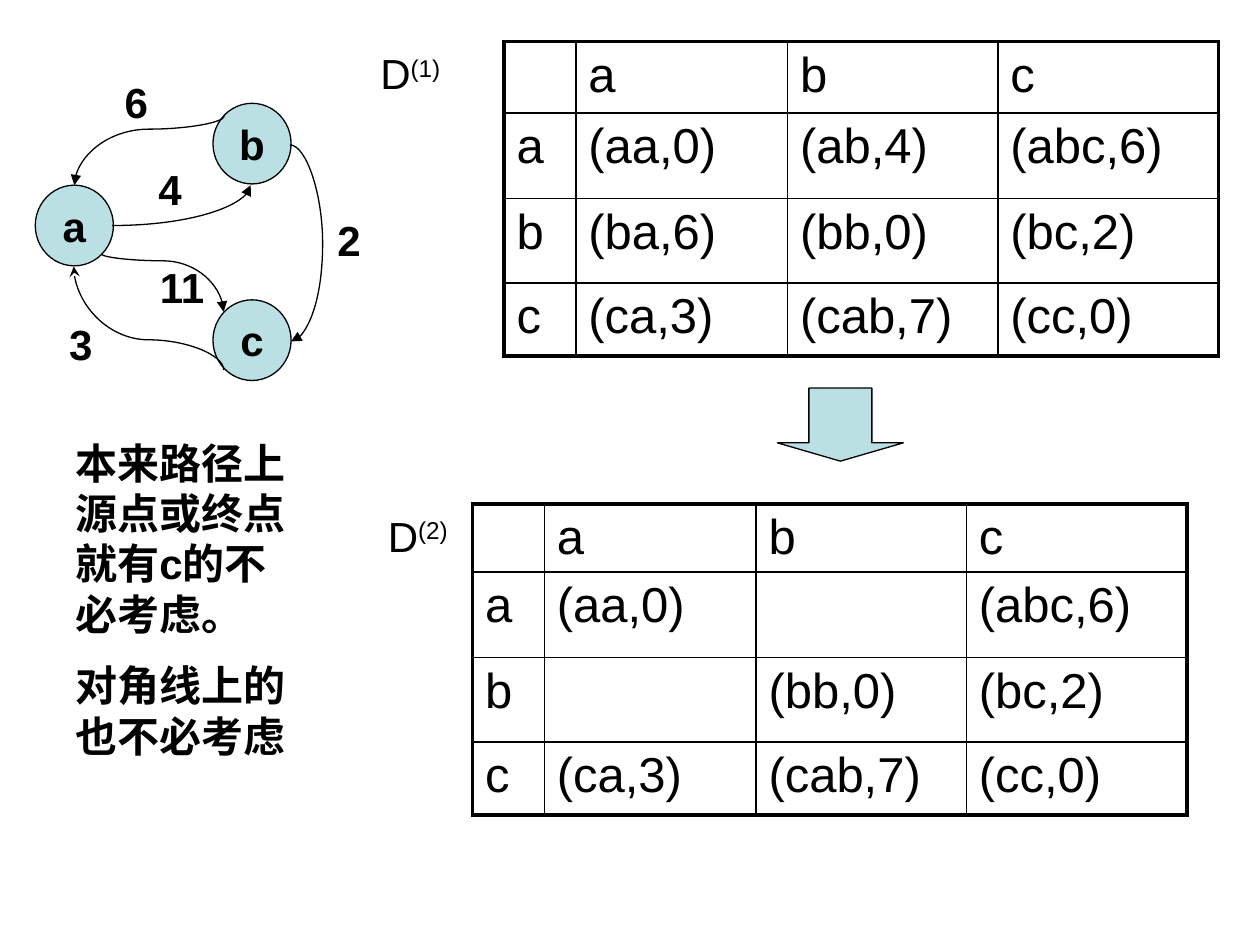
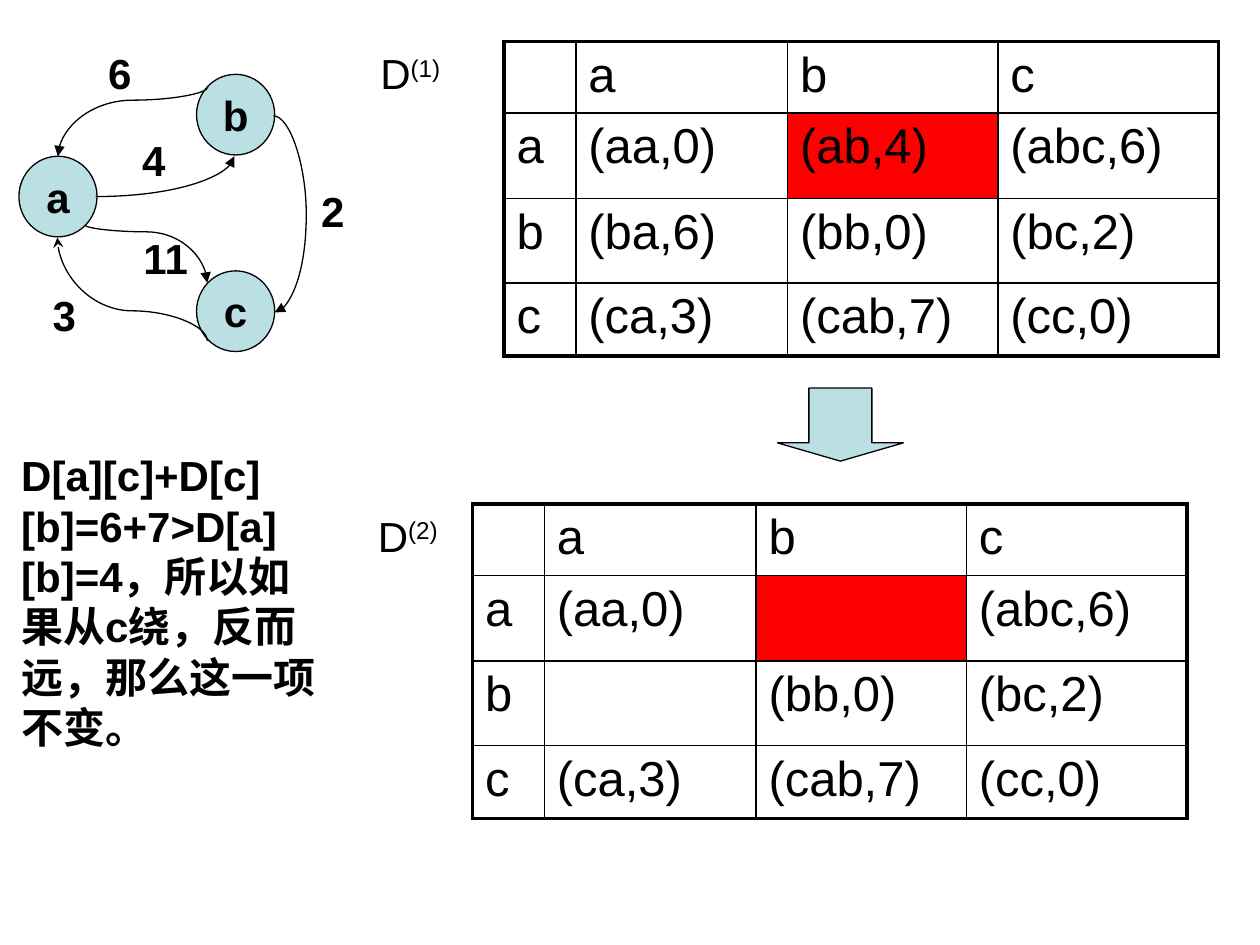
import dataclasses

import lxml.etree
import pptx
import pptx.dml.color
import pptx.enum.shapes
import pptx.enum.text
import pptx.oxml.ns
import pptx.util

Inches = pptx.util.Inches
Pt = pptx.util.Pt
qn = pptx.oxml.ns.qn
SHAPE = pptx.enum.shapes.MSO_SHAPE


@dataclasses.dataclass(frozen=True)
class Theme:
    """Colours, font, type sizes and line widths shared by the slides."""
    ink: str = "000000"
    accent: str = "BBE0E3"
    changed: str = "FF0000"
    font: str = "Arial"
    body: float = 24
    cell: float = 28
    thin: float = 0.75
    grid: float = 1
    frame: float = 2.25


THEME = Theme()
NODES = "abc"
COLUMNS = [0.57, 1.68, 1.67, 1.75]
BODY_ROWS = [0.68, 0.67, 0.58]
BEFORE = [["(aa,0)", "(ab,4)", "(abc,6)"],
          ["(ba,6)", "(bb,0)", "(bc,2)"],
          ["(ca,3)", "(cab,7)", "(cc,0)"]]
AFTER = [["(aa,0)", "", "(abc,6)"],
         ["", "(bb,0)", "(bc,2)"],
         ["(ca,3)", "(cab,7)", "(cc,0)"]]

NODE_SIZE = (0.62, 0.64)
NODE_PLACES = {"a": (0.28, 1.47), "b": (1.69, 0.82), "c": (1.69, 2.38)}
# Each edge: unrotated box, rotation, flips, preset, bend, arrowhead.
EDGES = [
    ((0.89, 1.47, 1.1, 0.32), 0, "V", "curvedConnector2", None, ("tailEnd", "triangle")),
    ((0.91, 0.6, 0.55, 1.19), 270, "HV", "curvedConnector3", 0.19, ("tailEnd", "triangle")),
    ((1.06, 1.76, 0.46, 0.97), 270, "H", "curvedConnector3", 0.12, ("tailEnd", "triangle")),
    ((0.77, 1.93, 0.82, 1.19), 270, "H", "curvedConnector3", 0.71, ("headEnd", "stealth")),
    ((2.3, 1.15, 0.01, 1.56), 0, "", "curvedConnector3", 26.5, ("tailEnd", "triangle")),
]
# Each weight: text, left, top, width.
WEIGHTS = [("11", 1.17, 2.03, 0.61), ("6", 0.89, 0.56, 0.53), ("4", 1.16, 1.25, 0.53),
           ("2", 2.58, 1.65, 0.53), ("3", 0.45, 2.48, 0.53)]


def rgb(value):
    """Return a colour object for a hex value."""
    return pptx.dml.color.RGBColor.from_string(value)


def set_format(target, values):
    """Set every attribute named in a dict of format values."""
    for name, value in values.items():
        setattr(target, name, value)


def add_xml(parent, tag, **attributes):
    """Append a drawing element with its attributes."""
    return lxml.etree.SubElement(parent, qn("a:" + tag), attributes)


def write_run(paragraph, text, size, bold=False, raised=False):
    """Add a run of text, optionally as a superscript."""
    run = paragraph.add_run()
    run.text = text
    set_format(run.font, {"name": THEME.font, "size": Pt(size), "bold": bold})
    run.font.color.rgb = rgb(THEME.ink)
    if raised:
        run._r.get_or_add_rPr().set("baseline", "30000")


def space_before(paragraph, percent):
    """Set the space above a paragraph as a share of its line."""
    spacing = add_xml(paragraph._p.get_or_add_pPr(), "spcBef")
    add_xml(spacing, "spcPct", val=str(percent * 1000))


def style_shape(shape):
    """Give a shape the pale fill and the thin dark outline."""
    shape.shadow.inherit = False
    shape.fill.solid()
    shape.fill.fore_color.rgb = rgb(THEME.accent)
    shape.line.color.rgb = rgb(THEME.ink)
    shape.line.width = Pt(THEME.thin)


def add_text(shapes, box, paragraphs, bold=True):
    """Add a text box; each paragraph is a list of (text, raised) runs."""
    frame = shapes.add_textbox(*map(Inches, box)).text_frame
    set_format(frame, {"word_wrap": True,
                       "auto_size": pptx.enum.text.MSO_AUTO_SIZE.SHAPE_TO_FIT_TEXT})
    for index, runs in enumerate(paragraphs):
        paragraph = frame.add_paragraph() if index else frame.paragraphs[0]
        space_before(paragraph, 50)
        for text, raised in runs:
            write_run(paragraph, text, THEME.body, bold, raised)


def add_matrix_name(slide, step, left, top):
    """Add the name of a matrix with its step as a superscript."""
    add_text(slide.shapes, (left, top, 1, 0.5),
             [[("D", False), (f"({step})", True)]], bold=False)


def draw_borders(cell, row, column, last):
    """Draw heavy borders on the outside of the grid and light ones inside."""
    outer = {"lnL": column == 0, "lnR": column == last,
             "lnT": row == 0, "lnB": row == last}
    for side, heavy in outer.items():
        width = Pt(THEME.frame if heavy else THEME.grid)
        border = add_xml(cell._tc.get_or_add_tcPr(), side, w=str(int(width)))
        add_xml(add_xml(border, "solidFill"), "srgbClr", val=THEME.ink)


def add_matrix(slide, left, top, header_height, paths, changed=None):
    """Add a matrix of paths with node names along its top and left."""
    grid = [["", *NODES]] + [[node, *line] for node, line in zip(NODES, paths)]
    heights = [header_height, *BODY_ROWS]
    count = len(grid)
    table = slide.shapes.add_table(count, count, Inches(left), Inches(top),
                                   Inches(sum(COLUMNS)), Inches(sum(heights))).table
    set_format(table, {"first_row": False, "horz_banding": False})
    for column, width in zip(table.columns, COLUMNS):
        column.width = Inches(width)
    for row, height in zip(table.rows, heights):
        row.height = Inches(height)
    for row, line in enumerate(grid):
        for column, text in enumerate(line):
            cell = table.cell(row, column)
            draw_borders(cell, row, column, count - 1)
            if (row, column) == changed:
                cell.fill.solid()
                cell.fill.fore_color.rgb = rgb(THEME.changed)
            else:
                cell.fill.background()
            if text:
                paragraph = cell.text_frame.paragraphs[0]
                space_before(paragraph, 20)
                write_run(paragraph, text, THEME.cell)


def add_step_arrow(slide):
    """Add the block arrow between the two matrices."""
    arrow = slide.shapes.add_shape(SHAPE.DOWN_ARROW, Inches(6.17), Inches(3.08),
                                   Inches(1), Inches(0.58))
    arrow.adjustments[0], arrow.adjustments[1] = 0.5, 0.25
    style_shape(arrow)


def add_node(shapes, name, left, top):
    """Add one named node of the graph."""
    node = shapes.add_shape(SHAPE.OVAL, *map(Inches, (left, top, *NODE_SIZE)))
    style_shape(node)
    set_format(node.text_frame, {"word_wrap": False,
                                 "vertical_anchor": pptx.enum.text.MSO_ANCHOR.MIDDLE})
    paragraph = node.text_frame.paragraphs[0]
    paragraph.alignment = pptx.enum.text.PP_ALIGN.CENTER
    write_run(paragraph, name, THEME.body, bold=True)


def add_edge(shapes, box, rotation, flips, preset, bend, arrowhead):
    """Add one curved edge with an arrowhead."""
    left, top, width, height = box
    edge = shapes.add_connector(pptx.enum.shapes.MSO_CONNECTOR.CURVE, Inches(left),
                                Inches(top), Inches(left + width), Inches(top + height))
    edge.line.color.rgb = rgb(THEME.ink)
    edge.line.width = Pt(THEME.thin)
    properties = edge.element.spPr
    transform = properties.find(qn("a:xfrm"))
    if rotation:
        transform.set("rot", str(rotation * 60000))
    for flip in flips:
        transform.set("flip" + flip, "1")
    geometry = properties.find(qn("a:prstGeom"))
    geometry.set("prst", preset)
    if bend is not None:
        guides = geometry.find(qn("a:avLst"))
        if guides is None:
            guides = add_xml(geometry, "avLst")
        add_xml(guides, "gd", name="adj1", fmla=f"val {round(bend * 100000)}")
    end, kind = arrowhead
    add_xml(properties.find(qn("a:ln")), end, type=kind)
    add_xml(properties, "effectLst")


def add_graph(slide, right=0, down=0):
    """Add the weighted graph as a group, shifted as a whole."""
    shapes = slide.shapes.add_group_shape().shapes
    for name, (left, top) in NODE_PLACES.items():
        add_node(shapes, name, left + right, top + down)
    for (left, top, width, height), *look in EDGES:
        add_edge(shapes, (left + right, top + down, width, height), *look)
    for text, left, top, width in WEIGHTS:
        add_text(shapes, (left + right, top + down, width, 0.56), [[(text, False)]])


def add_step_slide(deck, remark, remark_box, after_name_left,
                   graph_shift=(0, 0), changed=None):
    """Build a slide with both matrices, a remark and the graph."""
    slide = deck.slides.add_slide(deck.slide_layouts[6])
    add_matrix(slide, 3.75, 4, 0.54, AFTER, changed)
    add_matrix_name(slide, 2, after_name_left, 4)
    add_step_arrow(slide)
    add_matrix(slide, 4, 0.33, 0.56, BEFORE, changed)
    add_matrix_name(slide, 1, 2.92, 0.33)
    add_text(slide.shapes, remark_box, [[(line, False)] for line in remark])
    add_graph(slide, *graph_shift)


def main():
    """Build and save the deck."""
    deck = pptx.Presentation()
    set_format(deck, {"slide_width": Inches(10), "slide_height": Inches(7.5)})
    add_step_slide(deck, ["本来路径上源点或终点就有c的不必考虑。", "对角线上的也不必考虑"],
                   (0.5, 3.42, 2, 2.73), 2.98)
    add_step_slide(deck, ["D[a][c]+D[c][b]=6+7>D[a][b]=4，所以如果从c绕，反而远，那么这一项不变。"],
                   (0.07, 3.52, 2.65, 2.12), 2.9,
                   graph_shift=(-0.13, -0.23), changed=(1, 2))
    deck.save("out.pptx")


main()
